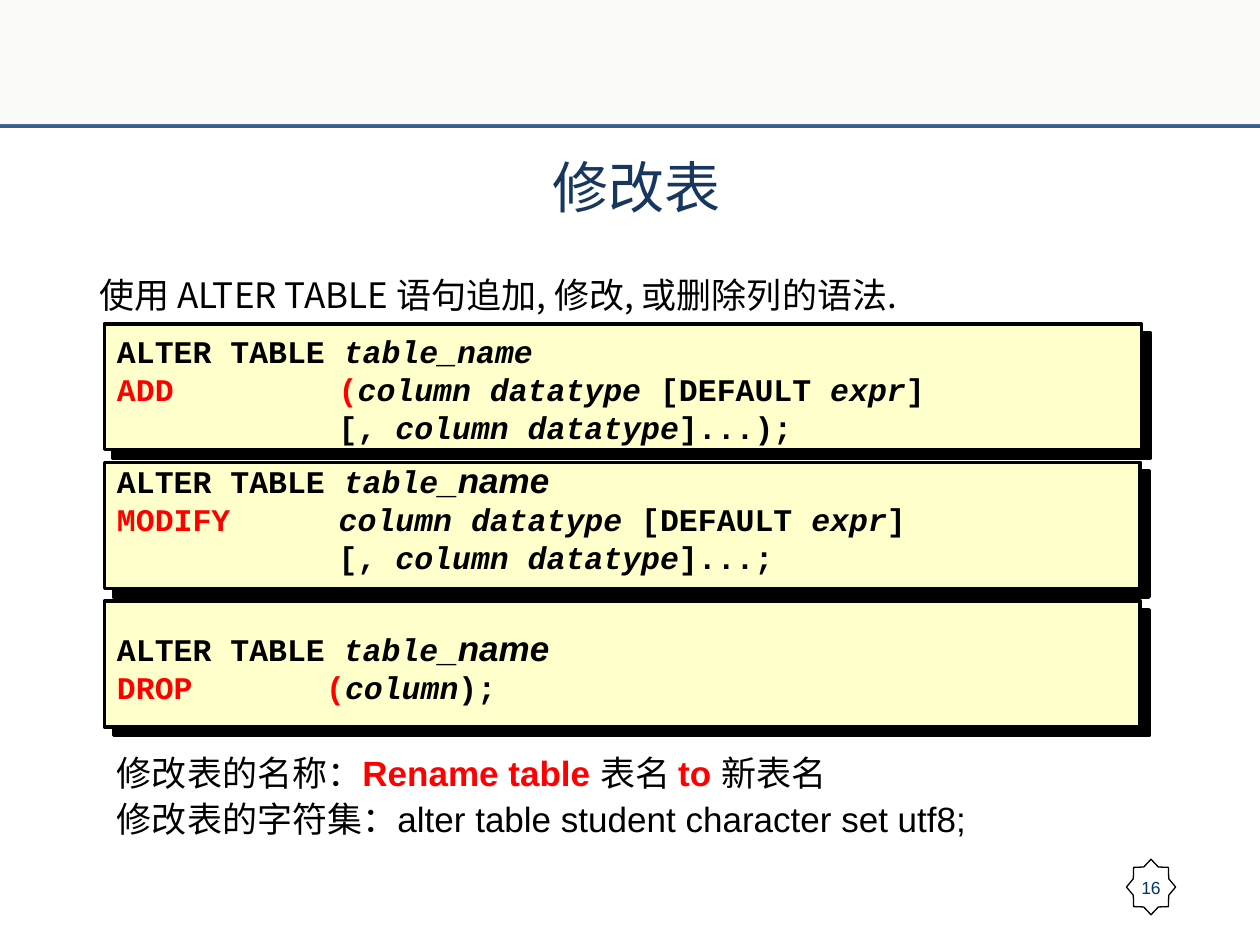
from dataclasses import dataclass

from lxml.etree import SubElement
from pptx import Presentation
from pptx.dml.color import RGBColor
from pptx.enum.shapes import MSO_CONNECTOR, MSO_SHAPE
from pptx.enum.text import MSO_ANCHOR, PP_ALIGN
from pptx.oxml.ns import qn
from pptx.util import Inches, Pt

COLORS = {
    "black": "000000",
    "white": "FFFFFF",
    "red": "FF0000",
    "navy": "17375E",
    "blue": "003366",
    "rule": "376092",
    "band": "EEECE1",
    "cream": "FFFFCC",
}
SANS = "Noto Sans CJK SC"
CODE = {"size": Pt(18), "name": "Courier New", "bold": True}
PLAIN = {"size": Pt(20), "name": "Arial"}
WORD = {**PLAIN, "bold": True}
SLANT = {**CODE, "italic": True}
NAME = {**WORD, "italic": True}
HEAD = {"size": Pt(32), "name": SANS}
LEAD = {"size": Pt(20), "name": SANS}
SMALL = {"size": Pt(10), "name": "Arial"}


@dataclass
class Run:
    text: str
    form: dict
    color: str = "black"


@dataclass
class Panel:
    top: float
    width: float
    text_top: float
    stop: float
    lines: list


def tint(color: str) -> RGBColor:
    return RGBColor.from_string(COLORS[color])


def write(frame, lines: list, layout: dict, stop: float = 0, hang: float = 0) -> None:
    for index, line in enumerate(lines):
        para = frame.paragraphs[0] if index == 0 else frame.add_paragraph()
        for key, value in layout.items():
            if key != "space_before" or index:
                setattr(para, key, value)
        props = para._p.get_or_add_pPr()
        if hang:
            props.set("marL", str(Inches(hang)))
            props.set("indent", str(-Inches(hang)))
        if stop:
            tabs = SubElement(props, qn("a:tabLst"))
            SubElement(tabs, qn("a:tab"), pos=str(Inches(stop)), algn="l")
        for part in line:
            run = para.add_run()
            run.text = part.text
            for key, value in part.form.items():
                setattr(run.font, key, value)
            run.font.color.rgb = tint(part.color)
            SubElement(run._r.get_or_add_rPr(), qn("a:ea"), typeface=SANS)


def add_text(slide, box: tuple, lines: list, layout: dict, anchor=MSO_ANCHOR.TOP,
             stop: float = 0, hang: float = 0) -> None:
    frame = slide.shapes.add_textbox(*map(Inches, box)).text_frame
    frame.word_wrap = True
    frame.vertical_anchor = anchor
    write(frame, lines, layout, stop, hang)


def add_block(slide, kind, box: tuple, fill: str, line: str = "", width: float = 0):
    shape = slide.shapes.add_shape(kind, *map(Inches, box))
    shape.shadow.inherit = False
    shape.fill.solid()
    shape.fill.fore_color.rgb = tint(fill)
    if line:
        shape.line.color.rgb = tint(line)
        shape.line.width = Pt(width)
    else:
        shape.line.fill.background()
    return shape


def add_panel(slide, panel: Panel) -> None:
    box = (0.83, panel.top, panel.width, 1)
    shape = add_block(slide, MSO_SHAPE.RECTANGLE, box, "cream", "black", 2)
    effects = shape._element.spPr.find(qn("a:effectLst"))
    shade = SubElement(effects, qn("a:outerShdw"), blurRad="0", dist=str(Pt(7.1)),
                       dir=str(45 * 60000), algn="ctr", rotWithShape="0")
    SubElement(shade, qn("a:srgbClr"), val=COLORS["black"])
    add_text(slide, (0.83, panel.text_top, 7.98, 1.03), panel.lines, {},
             MSO_ANCHOR.MIDDLE, panel.stop)


def add_frame(slide) -> None:
    rule = slide.shapes.add_connector(
        MSO_CONNECTOR.STRAIGHT, Inches(0), Inches(1), Inches(10), Inches(1))
    rule.line.color.rgb = tint("rule")
    rule.line.width = Pt(2.25)
    SubElement(rule._element.spPr, qn("a:effectLst"))
    band = add_block(slide, MSO_SHAPE.RECTANGLE, (0, 0, 10, 0.99), "band")
    shade = band._element.spPr.find(qn("a:solidFill")).find(qn("a:srgbClr"))
    SubElement(shade, qn("a:alpha"), val="18000")
    star = add_block(slide, MSO_SHAPE.STAR_8_POINT, (8.94, 6.82, 0.39, 0.44),
                     "white", "black", 0.75)
    star.adjustments[0] = 0.39
    star.text_frame.word_wrap = False
    star.text_frame.vertical_anchor = MSO_ANCHOR.MIDDLE
    write(star.text_frame, [[Run("16", SMALL, "blue")]], {"alignment": PP_ALIGN.CENTER})


ALTER = Run("ALTER TABLE ", CODE)
MIXED = [ALTER, Run("table", SLANT), Run("_name", NAME)]
FIELD = [Run("column datatype ", SLANT), Run("[DEFAULT ", CODE),
         Run("expr", SLANT), Run("]", CODE)]
MORE = [Run("\t[, ", CODE), Run("column datatype", SLANT)]

PANELS = [
    Panel(2.57, 8.23, 2.57, 1.76, [
        [ALTER, Run("table_name", SLANT)],
        [Run("ADD\t(", CODE, "red"), *FIELD],
        [*MORE, Run("]...);", CODE)],
    ]),
    Panel(3.67, 8.22, 3.59, 1.76, [
        MIXED,
        [Run("MODIFY\t", CODE, "red"), *FIELD],
        [*MORE, Run("]...;", CODE)],
    ]),
    Panel(4.77, 8.22, 4.77, 1.66, [
        MIXED,
        [Run("DROP\t(", CODE, "red"), Run("column", SLANT), Run(");", CODE)],
    ]),
]
NOTES = [
    [Run("修改表的名称：", PLAIN), Run("Rename table ", WORD, "red"),
     Run("表名 ", PLAIN), Run("to ", WORD, "red"), Run("新表名", PLAIN)],
    [Run("修改表的字符集：alter table student character set utf8;", PLAIN)],
]


def main() -> None:
    deck = Presentation()
    deck.slide_width, deck.slide_height = Inches(10), Inches(7.5)
    slide = deck.slides.add_slide(deck.slide_layouts[6])
    add_frame(slide)
    add_text(slide, (0.8, 1.16, 8.5, 0.79), [[Run("修改表", HEAD, "navy")]],
             {"alignment": PP_ALIGN.CENTER})
    add_text(slide, (0.69, 2.17, 8.51, 0.38),
             [[Run("使用 ALTER TABLE 语句追加, 修改, 或删除列的语法.", LEAD)]],
             {"line_spacing": 0.85}, hang=0.38)
    for panel in PANELS:
        add_panel(slide, panel)
    add_text(slide, (0.83, 5.95, 8.27, 0.77), NOTES,
             {"line_spacing": 0.9, "space_before": Pt(5)}, hang=0.38)
    deck.save("out.pptx")


if __name__ == "__main__":
    main()
